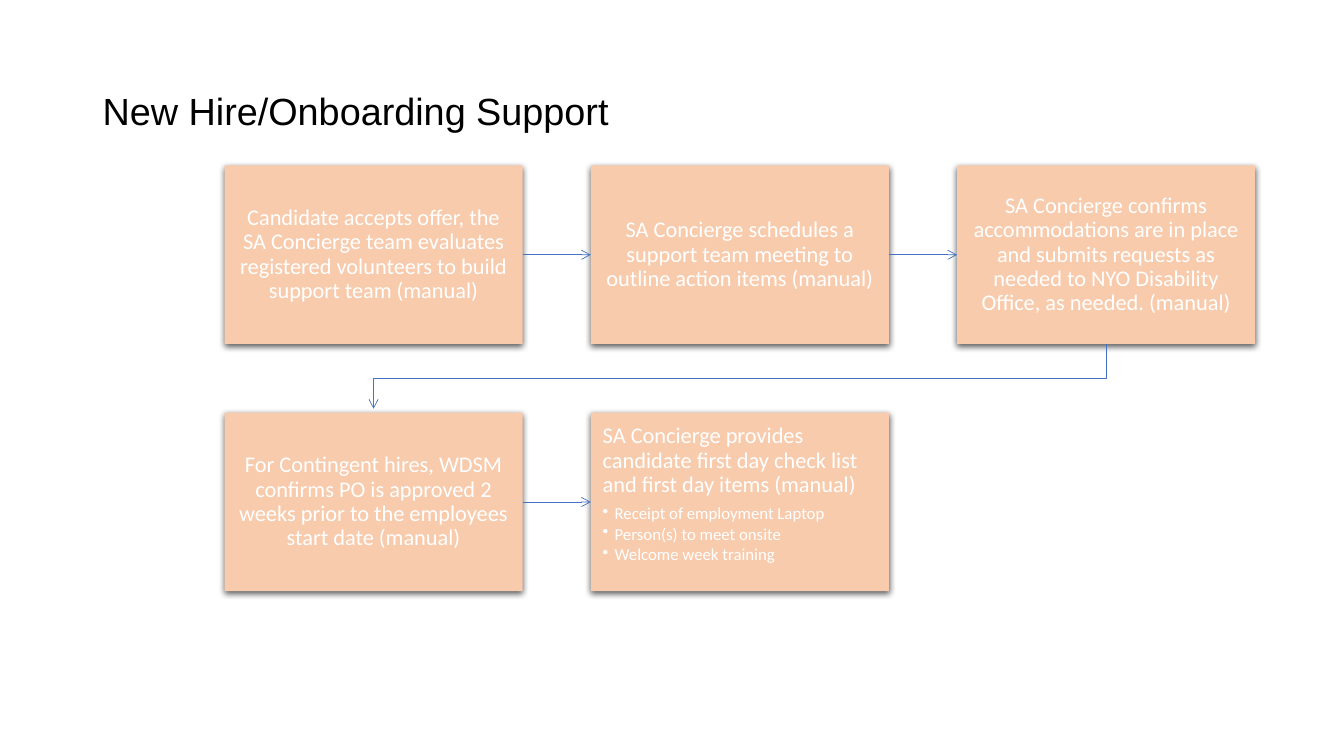
import dataclasses

import lxml.etree
import pptx
import pptx.dml.color
import pptx.enum.shapes
import pptx.enum.text
import pptx.oxml
import pptx.oxml.ns
import pptx.util

Cm = pptx.util.Cm
Pt = pptx.util.Pt
qn = pptx.oxml.ns.qn
ALIGN = pptx.enum.text.PP_ALIGN
ANCHOR = pptx.enum.text.MSO_ANCHOR
TOP, LEFT, BOTTOM, RIGHT = range(4)


@dataclasses.dataclass(frozen=True)
class Theme:
    title_color: str = "000000"
    step_fill: str = "F8CBAD"
    step_text: str = "FFFFFF"
    arrow: str = "4472C4"
    shadow: str = "000000"
    title_font: str = "Arial"
    body_font: str = "Calibri"
    title_size: float = 27
    step_size: float = 16
    item_size: float = 12
    arrow_width: float = 0.5


def rgb(value):
    return pptx.dml.color.RGBColor.from_string(value)


class FlowSlide:
    """Draws the elements of a process flow on one slide."""

    def __init__(self, deck, theme):
        self.theme = theme
        self.slide = deck.slides.add_slide(deck.slide_layouts[5])

    def add_run(self, paragraph, text, font, size, color):
        run = paragraph.add_run()
        run.text = text
        run.font.name = font
        run.font.size = Pt(size)
        run.font.color.rgb = rgb(color)
        paragraph.line_spacing = 0.9

    def title(self, text, left, top, width, height):
        heading = self.slide.shapes.title
        heading.left, heading.top = Cm(left), Cm(top)
        heading.width, heading.height = Cm(width), Cm(height)
        frame = heading.text_frame
        frame.auto_size = pptx.enum.text.MSO_AUTO_SIZE.NONE
        frame.vertical_anchor = ANCHOR.MIDDLE
        frame.paragraphs[0].alignment = ALIGN.LEFT
        self.add_run(frame.paragraphs[0], text, self.theme.title_font,
                     self.theme.title_size, self.theme.title_color)

    def step(self, text, left, top, width, height, items=()):
        theme = self.theme
        box = self.slide.shapes.add_shape(
            pptx.enum.shapes.MSO_SHAPE.RECTANGLE,
            Cm(left), Cm(top), Cm(width), Cm(height))
        box.fill.solid()
        box.fill.fore_color.rgb = rgb(theme.step_fill)
        box.line.fill.background()
        self.drop_shadow(box)

        frame = box.text_frame
        frame.word_wrap = True
        frame.margin_left = frame.margin_right = Cm(0.3)
        frame.margin_top = frame.margin_bottom = Cm(0.3)
        frame.vertical_anchor = ANCHOR.TOP if items else ANCHOR.MIDDLE
        lead = frame.paragraphs[0]
        lead.alignment = ALIGN.LEFT if items else ALIGN.CENTER
        lead.space_after = Pt(0.35 * theme.step_size)
        self.add_run(lead, text, theme.body_font, theme.step_size, theme.step_text)
        for item in items:
            self.bullet(frame.add_paragraph(), item)
        return box

    def bullet(self, paragraph, text):
        theme = self.theme
        paragraph.level = 1
        paragraph.alignment = ALIGN.LEFT
        paragraph.space_after = Pt(0.15 * theme.item_size)
        self.add_run(paragraph, text, theme.body_font, theme.item_size, theme.step_text)
        properties = paragraph._p.get_or_add_pPr()
        properties.set("marL", str(Cm(0.3)))
        properties.set("indent", str(-Cm(0.3)))
        lxml.etree.SubElement(properties, qn("a:buChar")).set("char", "•")

    def drop_shadow(self, box):
        box.shadow.inherit = False
        effects = box._element.spPr.find(qn("a:effectLst"))
        shadow = lxml.etree.SubElement(
            effects, qn("a:outerShdw"), blurRad=str(Pt(4.5)), dist=str(Pt(1.5)),
            dir="5400000", algn="ctr", rotWithShape="0")
        color = lxml.etree.SubElement(shadow, qn("a:srgbClr"), val=self.theme.shadow)
        lxml.etree.SubElement(color, qn("a:alpha"), val="63000")

    def style_arrow(self, arrow):
        arrow.line.color.rgb = rgb(self.theme.arrow)
        arrow.line.width = Pt(self.theme.arrow_width)
        lxml.etree.SubElement(arrow.line._get_or_add_ln(), qn("a:tailEnd"), type="arrow")
        lxml.etree.SubElement(arrow._element.spPr, qn("a:effectLst"))

    def arrow(self, source, target):
        connector = self.slide.shapes.add_connector(
            pptx.enum.shapes.MSO_CONNECTOR.STRAIGHT, 0, 0, 0, 0)
        connector.begin_connect(source, RIGHT)
        connector.end_connect(target, LEFT)
        self.style_arrow(connector)

    def wrap_arrow(self, source, target):
        """Leads from under one box, through the row gap, to the top of another."""
        start_x = source.left + source.width // 2
        end_x = target.left + target.width // 2
        start_y = source.top + source.height
        bend_y = (start_y + target.top) // 2
        builder = self.slide.shapes.build_freeform(start_x, start_y)
        builder.add_line_segments(
            [(start_x, bend_y), (end_x, bend_y), (end_x, target.top - Cm(0.1))],
            close=False)
        route = builder.convert_to_shape()
        route.fill.background()
        self.style_arrow(route)


# Step text with its checklist, in reading order
STEPS = [
    ("Candidate accepts offer, the SA Concierge team evaluates registered "
     "volunteers to build support team (manual)", ()),
    ("SA Concierge schedules a support team meeting to outline action items "
     "(manual)", ()),
    ("SA Concierge confirms accommodations are in place and submits requests as "
     "needed to NYO Disability Office, as needed. (manual)", ()),
    ("For Contingent hires, WDSM confirms PO is approved 2 weeks prior to the "
     "employees start date (manual)", ()),
    ("SA Concierge provides candidate first day check list and first day items "
     "(manual)",
     ("Receipt of employment Laptop", "Person(s) to meet onsite",
      "Welcome week training")),
]

# Grid of steps, in centimetres
COLUMNS = 3
GRID_LEFT, GRID_TOP = 5.66, 4.17
STEP_WIDTH, STEP_HEIGHT = 7.51, 4.5
COLUMN_PITCH, ROW_PITCH = 9.23, 6.23


def main():
    deck = pptx.Presentation()
    deck.slide_width, deck.slide_height = Cm(33.87), Cm(19.05)
    flow = FlowSlide(deck, Theme())

    # Title
    flow.title("New Hire/Onboarding Support", 2.33, 1.01, 29.21, 3.68)

    # Steps, row by row
    steps = []
    for index, (text, items) in enumerate(STEPS):
        row, column = divmod(index, COLUMNS)
        steps.append(flow.step(
            text, GRID_LEFT + column * COLUMN_PITCH, GRID_TOP + row * ROW_PITCH,
            STEP_WIDTH, STEP_HEIGHT, items))

    # Arrows between consecutive steps
    for source, target in zip(steps, steps[1:]):
        if source.top == target.top:
            flow.arrow(source, target)
        else:
            flow.wrap_arrow(source, target)

    deck.save("out.pptx")


if __name__ == "__main__":
    main()
